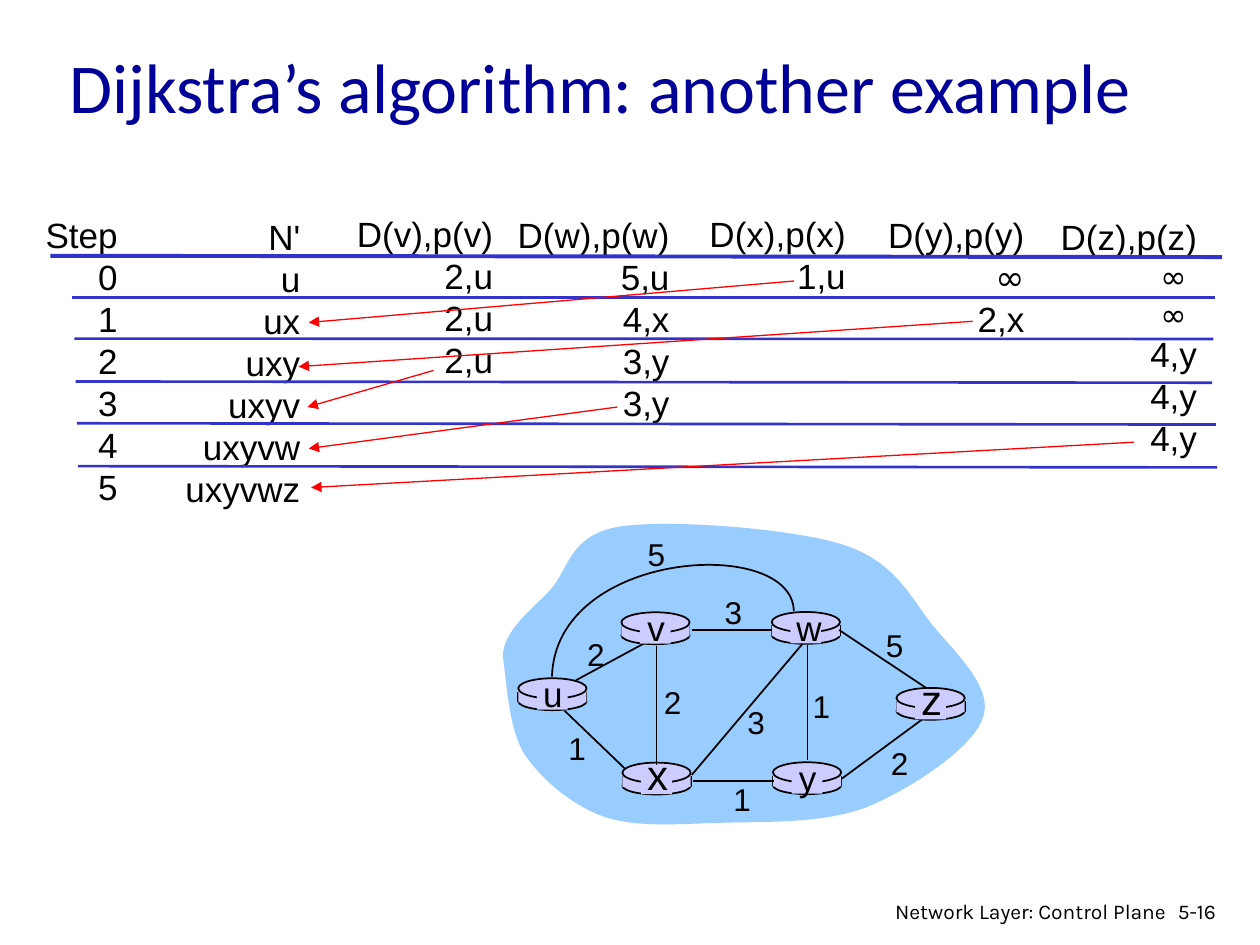
from lxml.etree import SubElement
from pptx import Presentation
from pptx.dml.color import RGBColor
from pptx.enum.shapes import MSO_CONNECTOR, MSO_SHAPE
from pptx.enum.text import MSO_ANCHOR, MSO_AUTO_SIZE, PP_ALIGN
from pptx.oxml.ns import qn
from pptx.util import Pt

COLORS = {"title": "000099", "text": "000000", "rule": "3333CC", "arrow": "FF0000",
          "cloud": "99CCFF", "router": "CCCCFF", "edge": "000000"}

# right edge, top, width, rows
COLUMNS = [
    (74.4, 118.4, 55.4, ["Step", "0", "1", "2", "3", "4", "5"]),
    (178.7, 119.4, 79.9, ["N'", "u", "ux", "uxy", "uxyv", "uxyvw", "uxyvwz"]),
    (288.9, 118.1, 92.2, ["D(v),p(v)", "2,u", "2,u", "2,u"]),
    (389.7, 118.4, 104, ["D(w),p(w)", "5,u", "4,x", "3,y", "3,y"]),
    (490.4, 118.1, 92.2, ["D(x),p(x)", "1,u"]),
    (592.5, 118.4, 92.2, ["D(y),p(y)", "∞", "2,x"]),
    (691.1, 119.5, 92.2, ["D(z),p(z)", "∞ ", "∞ ", "4,y", "4,y", "4,y"]),
]
RULES = [(28.8, 146.2, 698.4, 146.9), (41, 169.9, 694.1, 169.9),
         (42.5, 193.5, 693.4, 193.7), (43.2, 218, 692.6, 218.7),
         (43.9, 241.9, 694.8, 242.6), (44.6, 266.4, 695.5, 267.1)]
ARROWS = [(453.6, 160.6, 176.4, 184.3), (555.8, 183.6, 170.6, 209.5),
          (247.7, 211.7, 175.7, 232.6), (352.8, 232.6, 176.4, 256.3),
          (648, 252.7, 177.8, 278.6)]

CLOUD = [(287.3, 375.1),
         (288, 360), (303.1, 349.2), (314.6, 337),
         (325.4, 324.7), (325.4, 306), (353.5, 301),
         (380.9, 296.6), (450.7, 301.7), (481, 311),
         (511.2, 320.4), (519.8, 340.6), (532.8, 357.1),
         (546.5, 373.7), (568.1, 393.1), (561.6, 410.4),
         (555.8, 427.7), (519.8, 451.4), (494.6, 461.5),
         (469.4, 470.9), (436.3, 469.4), (411.1, 470.2),
         (386.6, 470.9), (363.6, 473), (344.9, 466.6),
         (326.9, 460.1), (309.6, 445.7), (299.5, 430.6),
         (290.2, 415.4), (289.4, 386.6), (287.3, 375.1)]
ARC_U_W = [(453.6, 349.2), (452.9, 306), (317.5, 313.9), (315.4, 386.6)]

# name, left, top, label size
ROUTERS = [("u", 296.2, 387.6, 20), ("x", 355.7, 435.8, 24), ("v", 355.1, 349.9, 20),
           ("w", 441, 349.7, 20), ("y", 441.7, 435.6, 20), ("z", 512.3, 393.1, 24)]
EDGE_U_V = (329, 388.8, 371.5, 365.8)
EDGES = [(461.5, 368.6, 461.5, 434.2), (375.1, 369.4, 375.1, 437),
         (395.3, 442.8, 458.6, 367.9), (481, 445, 527, 411.1),
         (442.1, 446.4, 396, 446.4), (357.1, 439.2, 322.6, 406.1),
         (441.4, 360, 395.3, 360), (529.2, 393.1, 479.5, 360)]
# cost, left, top
COSTS = [("2", 328.3, 359.3), ("2", 372.2, 386.6), ("1", 317.5, 413.3),
         ("3", 419.8, 398.2), ("1", 411.8, 442.1), ("1", 457.2, 388.8),
         ("2", 501.8, 421.9), ("5", 499, 354.2), ("3", 406.8, 335.5), ("5", 362.9, 302.4)]


def color(name):
    """Return the named colour."""
    return RGBColor.from_string(COLORS[name])


def style_span(span, size, font, color_name="text"):
    """Set size, font and colour of a run."""
    span.font.size = Pt(size)
    span.font.name = font
    span.font.color.rgb = color(color_name)


def add_text(shapes, left, top, width, height, rows, size=20, font="Arial",
             align=PP_ALIGN.CENTER, wrap=False):
    """Add a text box with one paragraph per row."""
    box = shapes.add_textbox(Pt(left), Pt(top), Pt(width), Pt(height))
    frame = box.text_frame
    frame.word_wrap = wrap
    frame.auto_size = MSO_AUTO_SIZE.NONE if wrap else MSO_AUTO_SIZE.SHAPE_TO_FIT_TEXT
    frame.text = "\n".join(rows)
    for para in frame.paragraphs:
        para.alignment = align
        row_size = 18 if para.text == "∞ " else size
        if not wrap:
            para.line_spacing = Pt(1.2 * row_size)
        for span in para.runs:
            style_span(span, row_size, "Comic Neue" if "∞" in para.text else font)


def add_line(shapes, ends, color_name, weight, arrow=False):
    """Add a straight line, with an optional arrowhead at its end."""
    line = shapes.add_connector(MSO_CONNECTOR.STRAIGHT, *[Pt(value) for value in ends])
    line.line.color.rgb = color(color_name)
    line.line.width = Pt(weight)
    if arrow:
        SubElement(line.line._get_or_add_ln(), qn("a:tailEnd"), type="triangle")
    SubElement(line._element.spPr, qn("a:effectLst"))


def paint(shape, fill=None, outline=False):
    """Set fill and outline of a shape, without shadow."""
    shape.shadow.inherit = False
    if fill:
        shape.fill.solid()
        shape.fill.fore_color.rgb = color(fill)
    else:
        shape.fill.background()
    if outline:
        shape.line.color.rgb = color("edge")
        shape.line.width = Pt(1)
    else:
        shape.line.fill.background()


def add_preset(shapes, kind, left, top, width, height, outline=False):
    """Add a router-coloured preset shape."""
    shape = shapes.add_shape(kind, Pt(left), Pt(top), Pt(width), Pt(height))
    paint(shape, "router", outline)


def add_curve(shapes, controls, close=False, fill=None, outline=False):
    """Add a freeform made of a chain of cubic curves."""
    points = [(Pt(x), Pt(y)) for x, y in controls]
    builder = shapes.build_freeform(*points[0], scale=1.0)
    builder.add_line_segments(points[1:], close=close)
    shape = builder.convert_to_shape()
    segments = list(shape._element.iter(qn("a:lnTo")))
    for first in range(0, len(controls) - 1, 3):
        lead, *others = segments[first:first + 3]
        lead.tag = qn("a:cubicBezTo")
        for segment in others:
            lead.append(segment[0])
            segment.getparent().remove(segment)
    paint(shape, fill, outline)


def add_router(shapes, left, top):
    """Add a flat cylinder."""
    add_preset(shapes, MSO_SHAPE.OVAL, left, top + 8.2, 39, 10, outline=True)
    for side in (left, left + 39):
        add_line(shapes, (side, top + 7.6, side, top + 13.8), "edge", 1)
    add_preset(shapes, MSO_SHAPE.RECTANGLE, left, top + 7.6, 39, 6.2)
    add_preset(shapes, MSO_SHAPE.OVAL, left, top, 39, 11.5, outline=True)


def add_router_label(shapes, name, left, top, size):
    """Add the name of a router on a plain patch."""
    add_preset(shapes, MSO_SHAPE.RECTANGLE, left + 10.6, top + 1.4, 17.6, 16.6)
    height = 1.2 * size + 7.2
    add_text(shapes, left + 7, top + 24.5 - height, 25.6, height, [name], size)


def add_title(page, text):
    """Fill and place the title placeholder."""
    title = page.shapes.title
    title.left, title.top, title.width, title.height = Pt(32.4), Pt(10.8), Pt(658.8), Pt(75.6)
    frame = title.text_frame
    frame.text = text
    frame.auto_size = MSO_AUTO_SIZE.NONE
    frame.vertical_anchor = MSO_ANCHOR.MIDDLE
    para = frame.paragraphs[0]
    para.alignment = PP_ALIGN.LEFT
    style_span(para.runs[0], 40, "Calibri", "title")


def add_steps(page):
    """Add the columns of steps and the rules between the rows."""
    for right, top, width, rows in COLUMNS:
        add_text(page.shapes, right - width, top, width, 24 * len(rows) + 7.2, rows,
                 align=PP_ALIGN.RIGHT)
    for row, ends in enumerate(RULES):
        add_line(page.shapes, ends, "rule", 1.5 if row else 2.25)


def add_network(page):
    """Add the group with routers, edges and costs."""
    shapes = page.shapes.add_group_shape().shapes
    add_curve(shapes, CLOUD, close=True, fill="cloud")
    add_line(shapes, EDGE_U_V, "edge", 1)
    for name, left, top, size in ROUTERS:
        add_router(shapes, left, top)
    for ends in EDGES:
        add_line(shapes, ends, "edge", 1)
    add_curve(shapes, ARC_U_W, outline=True)
    for router in ROUTERS:
        add_router_label(shapes, *router)
    for cost, left, top in COSTS:
        add_text(shapes, left, top, 24.5, 28.8, [cost], 18)


def main():
    """Build the deck."""
    deck = Presentation()
    deck.slide_width, deck.slide_height = Pt(720), Pt(540)
    page = deck.slides.add_slide(deck.slide_layouts[5])
    add_title(page, "Dijkstra’s algorithm: another example")
    add_steps(page)
    add_network(page)
    for ends in ARROWS:
        add_line(page.shapes, ends, "arrow", 0.75, arrow=True)
    add_text(page.shapes, 666, 509.8, 43.2, 21.6, ["5-16"], 12, "Karla",
             PP_ALIGN.LEFT, wrap=True)
    add_text(page.shapes, 502, 509.8, 171.4, 18.7, ["Network Layer: Control Plane"], 12,
             "Karla", PP_ALIGN.RIGHT, wrap=True)
    deck.save("out.pptx")


main()
